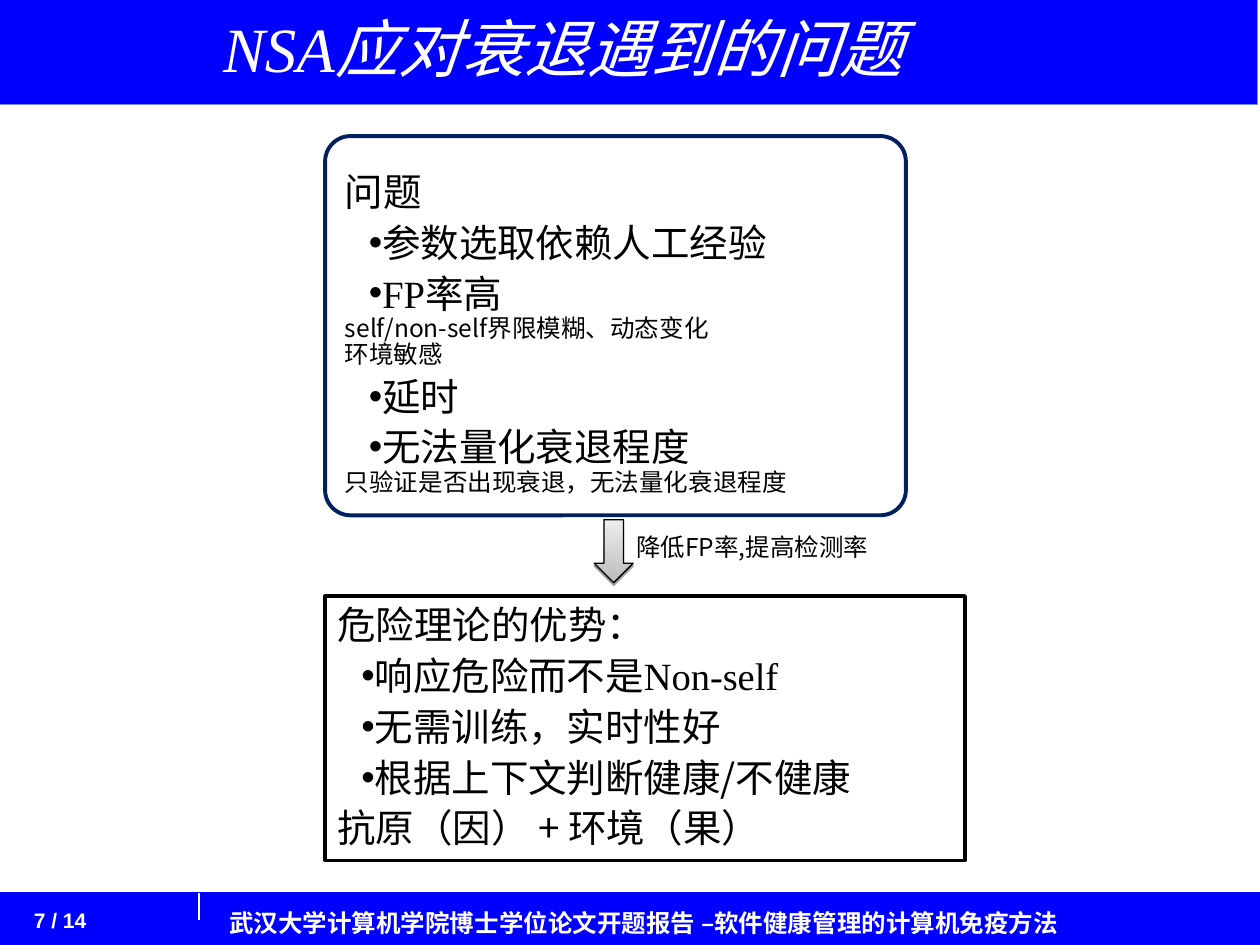
from lxml import etree
from pptx import Presentation
from pptx.dml.color import RGBColor
from pptx.enum.shapes import MSO_CONNECTOR, MSO_SHAPE
from pptx.enum.text import MSO_ANCHOR, MSO_AUTO_SIZE, PP_ALIGN
from pptx.oxml.ns import qn
from pptx.util import Inches, Pt

RECT, ROUND = MSO_SHAPE.RECTANGLE, MSO_SHAPE.ROUNDED_RECTANGLE
ARROW = MSO_SHAPE.RIGHT_ARROW
TOP, MIDDLE = MSO_ANCHOR.TOP, MSO_ANCHOR.MIDDLE
LEFT = PP_ALIGN.LEFT
NO_FIT = MSO_AUTO_SIZE.NONE

BLUE = RGBColor(0x00, 0x00, 0xFF)
PERIWINKLE = RGBColor(0x78, 0x89, 0xFB)
NAVY = RGBColor(0x00, 0x20, 0x60)
WHITE = RGBColor(0xFF, 0xFF, 0xFF)
BLACK = RGBColor(0x00, 0x00, 0x00)
GREYS = (RGBColor(0xBC, 0xBC, 0xBC), RGBColor(0xED, 0xED, 0xED))

CJK, SERIF, SANS = "Noto Sans CJK SC", "Times New Roman", "Arial"

# Text of a run is a string in the CJK font, or a (text, font) pair.
TITLE = [("NSA", SERIF), "应对衰退遇到的问题"]
FOOTER = ["武汉大学计算机学院博士学位论文开题报告 –软件健康管理的计算机免疫方法"]
PAGE = [("7 / 14", SANS)]
ARROW_LABEL = ["降低FP率,提高检测率"]
PROBLEMS = [
    ("head", ["问题"]),
    ("bullet", ["参数选取依赖人工经验"]),
    ("bullet", [("FP", SERIF), "率高"]),
    ("detail", ["self/non-self界限模糊、动态变化"]),
    ("detail", ["环境敏感"]),
    ("bullet", ["延时"]),
    ("bullet", ["无法量化衰退程度"]),
    ("detail", ["只验证是否出现衰退，无法量化衰退程度"]),
]
ADVANTAGES = [
    ("head", ["危险理论的优势："]),
    ("bullet", ["响应危险而不是", ("Non-self", SERIF)]),
    ("bullet", ["无需训练，实时性好"]),
    ("bullet", ["根据上下文判断健康/不健康"]),
    ("head", ["抗原（因） + 环境（果）"]),
]

BODY = {"size": Pt(22), "color": BLACK}
STYLES = {
    "title": ({"size": Pt(36), "italic": True, "color": WHITE}, {"line_spacing": 0.9}),
    "footer": ({"size": Pt(14), "bold": True, "color": WHITE}, {"line_spacing": Pt(18)}),
    "page": ({"size": Pt(12), "bold": True, "color": WHITE}, {"space_before": Pt(7.5)}),
    "label": ({"size": Pt(14), "color": BLACK}, {"line_spacing": Pt(18)}),
    "head": (BODY, {"line_spacing": Pt(26), "space_before": Pt(3)}),
    "bullet": (BODY, {"line_spacing": Pt(26), "space_before": Pt(3)}),
    "detail": ({"size": Pt(14), "color": BLACK}, {"line_spacing": Pt(15)}),
}


def inches(box):
    return [Inches(v) for v in box]


def add_bullet(p):
    pPr = p._p.get_or_add_pPr()
    pPr.set("marL", "0")
    pPr.set("indent", str(Inches(0.19)))
    etree.SubElement(pPr, qn("a:buFont"), typeface=SANS)
    etree.SubElement(pPr, qn("a:buChar"), char="•")


def write(sp, paragraphs, anchor=TOP, inset_top=0.05):
    tf = sp.text_frame
    frame = {"word_wrap": True, "auto_size": NO_FIT, "vertical_anchor": anchor,
             "margin_left": Inches(0.1), "margin_right": Inches(0.1),
             "margin_top": Inches(inset_top), "margin_bottom": Inches(0.05)}
    for name, value in frame.items():
        setattr(tf, name, value)
    for i, (style, runs) in enumerate(paragraphs):
        p = tf.add_paragraph() if i else tf.paragraphs[0]
        font_format, spacing = STYLES[style]
        for name, value in {"alignment": LEFT, "space_before": Pt(0), **spacing}.items():
            setattr(p, name, value)
        if style == "bullet":
            add_bullet(p)
        for run in runs:
            text, face = (run, CJK) if isinstance(run, str) else run
            r = p.add_run()
            r.text = text
            r.font.name = face
            for name, value in font_format.items():
                if name == "color":
                    r.font.color.rgb = value
                else:
                    setattr(r.font, name, value)
            etree.SubElement(r._r.get_or_add_rPr(), qn("a:ea"), typeface=face)


def add_box(s, kind, box, fill, line, width):
    sp = s.shapes.add_shape(kind, *inches(box))
    sp.shadow.inherit = False
    if fill is None:
        sp.fill.background()
    else:
        sp.fill.solid()
        sp.fill.fore_color.rgb = fill
    sp.line.color.rgb = line
    sp.line.width = Pt(width)
    return sp


def add_text(s, box, style, runs):
    write(s.shapes.add_textbox(*inches(box)), [(style, runs)])


def add_divider(s, x, top, bottom):
    cn = s.shapes.add_connector(MSO_CONNECTOR.STRAIGHT, *inches((x, top, x, bottom)))
    cn.line.color.rgb = WHITE
    cn.line.width = Pt(0.75)
    etree.SubElement(cn.element.spPr, qn("a:effectLst"))


def add_down_arrow(s, box):
    sp = add_box(s, ARROW, box, WHITE, BLACK, 0.75)
    sp.rotation = 90
    sp.fill.gradient()
    sp.fill.gradient_angle = 180
    for stop, color, position in zip(sp.fill.gradient_stops, GREYS, (0, 1)):
        stop.color.rgb = color
        stop.position = position
    effects = sp.element.spPr.find(qn("a:effectLst"))
    shadow = etree.SubElement(effects, qn("a:outerShdw"), blurRad="0", dist=str(Pt(1.6)),
                              dir="5400000", rotWithShape="0")
    color = etree.SubElement(shadow, qn("a:srgbClr"), val=str(BLACK))
    etree.SubElement(color, qn("a:alpha"), val="38000")


def main():
    prs = Presentation()
    prs.slide_width, prs.slide_height = inches((10, 7.5))
    s = prs.slides.add_slide(prs.slide_layouts[5])

    title = s.shapes.title
    title.left, title.top, title.width, title.height = inches((1.67, 0, 6.58, 0.83))
    write(title, [("title", TITLE)], MIDDLE)

    add_box(s, RECT, (0, 7.08, 10, 0.42), BLUE, BLUE, 0.25)
    header = add_box(s, RECT, (-0.02, -0.02, 10, 0.85), BLUE, PERIWINKLE, 0.25)
    title.element.addprevious(header.element)  # keeps the title in front
    add_text(s, (1.72, 7.14, 8.11, 0.34), "footer", FOOTER)
    add_divider(s, 1.58, 7.09, 7.3)

    problems = add_box(s, ROUND, (2.58, 1.08, 4.61, 3.01), None, NAVY, 2.25)
    problems.adjustments[0] = 0.067
    write(problems, PROBLEMS, inset_top=0.2)

    advantages = add_box(s, RECT, (2.58, 4.73, 5.08, 2.1), WHITE, BLACK, 2)
    write(advantages, ADVANTAGES)

    add_down_arrow(s, (4.62, 4.22, 0.5, 0.31))
    add_text(s, (4.95, 4.16, 2.32, 0.34), "label", ARROW_LABEL)
    add_text(s, (0.17, 7.15, 1.1, 0.35), "page", PAGE)

    prs.save("out.pptx")


if __name__ == "__main__":
    main()
